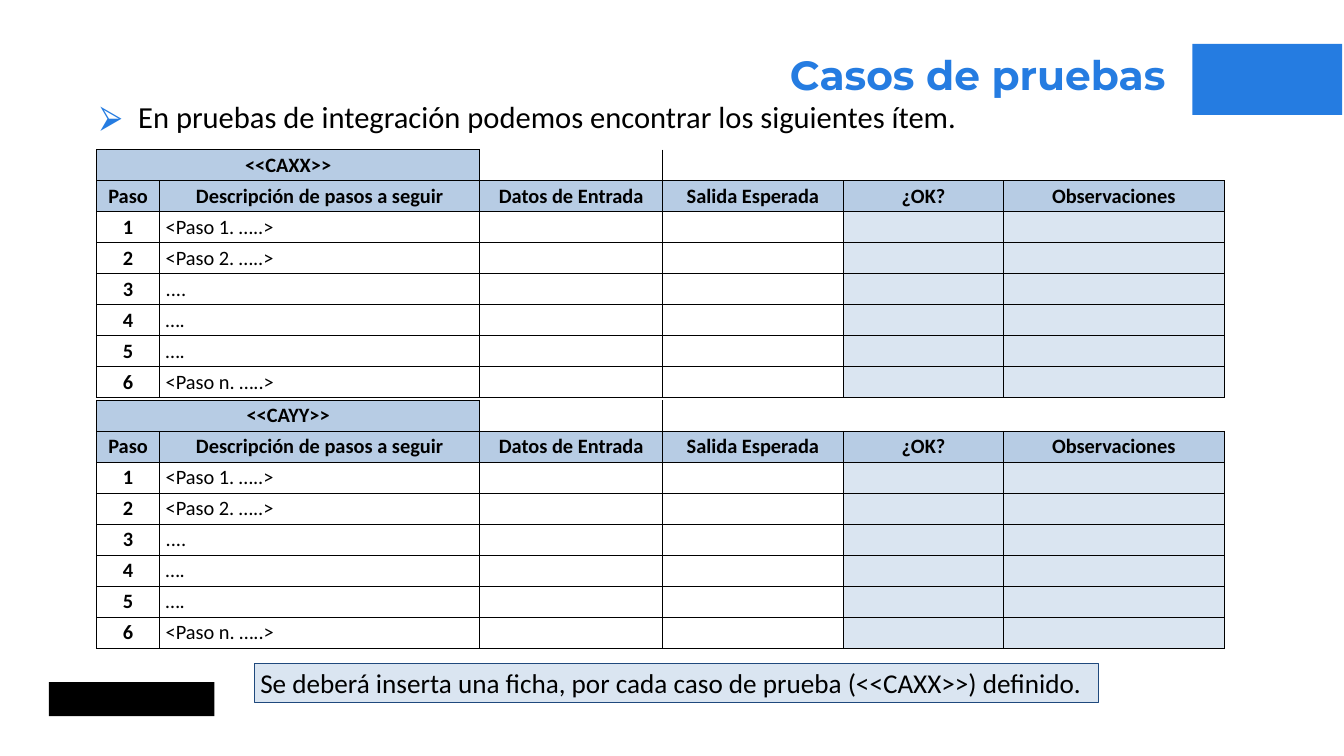
"""Build the slide on integration test cases, with two test sheets."""
from typing import NamedTuple

from lxml.etree import SubElement
from pptx import Presentation
from pptx.dml.color import RGBColor
from pptx.enum.shapes import MSO_SHAPE
from pptx.enum.text import MSO_ANCHOR, MSO_AUTO_SIZE, PP_ALIGN
from pptx.oxml.ns import qn
from pptx.util import Inches, Pt

BLUE = RGBColor(0x25, 0x7C, 0xE1)
BLACK = RGBColor(0, 0, 0)
WHITE = RGBColor(0xFF, 0xFF, 0xFF)
HEADER_BLUE = RGBColor(0xB7, 0xCC, 0xE4)
PALE_BLUE = RGBColor(0xDA, 0xE5, 0xF1)
NAVY = RGBColor(0x1F, 0x49, 0x7D)

NO_STYLE = "{2D5ABB26-0587-4C30-8999-92F81FD0307C}"
HEADINGS = ["Paso", "Descripción de pasos a seguir", "Datos de Entrada",
            "Salida Esperada", "¿OK?", "Observaciones"]
COLUMN_WIDTHS = [1.03, 5.24, 2.99, 2.96, 2.62, 3.61]
STEPS = ["<Paso 1. …..>", "<Paso 2. …..>", "....", "….", "….", "<Paso n. …..>"]
ROW_HEIGHT = 0.5
FIRST_RESULT_COLUMN = 4


class Box(NamedTuple):
    left: float
    top: float
    width: float
    height: float

    def lengths(self) -> list:
        return [Inches(value) for value in self]


class Sheet(NamedTuple):
    code: str
    top: float


SHEETS = [Sheet("<<CAXX>>", 2.45), Sheet("<<CAYY>>", 6.55)]


def write(holder, text: str, size: float, color: RGBColor, font: str = "Calibri",
          bold: bool = False, align: PP_ALIGN = PP_ALIGN.LEFT) -> None:
    holder.text_frame.text = text
    paragraph = holder.text_frame.paragraphs[0]
    paragraph.alignment = align
    paragraph.space_before = Pt(0)
    style = paragraph.runs[0].font
    style.name, style.size, style.bold = font, Pt(size), bold
    style.color.rgb = color


def place(holder, box: Box, margin_x: float = 0.1, margin_y: float = 0.05) -> None:
    holder.left, holder.top, holder.width, holder.height = box.lengths()
    frame = holder.text_frame
    frame.word_wrap = True
    frame.auto_size = MSO_AUTO_SIZE.NONE
    frame.vertical_anchor = MSO_ANCHOR.TOP
    frame.margin_left = frame.margin_right = Inches(margin_x)
    frame.margin_top = frame.margin_bottom = Inches(margin_y)


def add_bullet(paragraph, character: str, color: RGBColor, indent: float) -> None:
    properties = paragraph._p.get_or_add_pPr()
    properties.set("marL", str(Inches(indent)))
    properties.set("indent", str(-Inches(indent)))
    bullet_color = SubElement(properties, qn("a:buClr"))
    SubElement(bullet_color, qn("a:srgbClr"), val=str(color))
    SubElement(properties, qn("a:buChar"), char=character)


def add_rectangle(slide, box: Box, fill: RGBColor):
    rectangle = slide.shapes.add_shape(MSO_SHAPE.RECTANGLE, *box.lengths())
    rectangle.shadow.inherit = False
    rectangle.fill.solid()
    rectangle.fill.fore_color.rgb = fill
    rectangle.line.fill.background()
    return rectangle


def add_borders(cell, sides: str) -> None:
    properties = cell._tc.get_or_add_tcPr()
    for side in sides:
        line = SubElement(properties, qn(f"a:ln{side}"), w=str(Pt(1)))
        fill = SubElement(line, qn("a:solidFill"))
        SubElement(fill, qn("a:srgbClr"), val=str(BLACK))


def fill_cell(cell, fill: RGBColor, text: str = "", bold: bool = True,
              align: PP_ALIGN = PP_ALIGN.CENTER) -> None:
    add_borders(cell, "LRTB")
    cell.fill.solid()
    cell.fill.fore_color.rgb = fill
    if text:
        write(cell, text, 24, BLACK, bold=bold, align=align)


def add_sheet(slide, sheet: Sheet) -> None:
    row_count = len(STEPS) + 2
    box = Box(1.58, sheet.top, sum(COLUMN_WIDTHS), row_count * ROW_HEIGHT)
    table = slide.shapes.add_table(row_count, len(HEADINGS), *box.lengths()).table
    table.first_row = table.horz_banding = False
    table._tbl.tblPr.find(qn("a:tableStyleId")).text = NO_STYLE
    for column, width in zip(table.columns, COLUMN_WIDTHS):
        column.width = Inches(width)
    for row in table.rows:
        row.height = Inches(ROW_HEIGHT)

    table.cell(0, 0).merge(table.cell(0, 1))
    fill_cell(table.cell(0, 0), HEADER_BLUE, sheet.code)
    fill_cell(table.cell(0, 1), HEADER_BLUE)
    for column in range(2, len(HEADINGS)):
        add_borders(table.cell(0, column), "LB" if column == 2 else "B")
    for column, heading in enumerate(HEADINGS):
        fill_cell(table.cell(1, column), HEADER_BLUE, heading)
    for number, step in enumerate(STEPS, start=1):
        row = number + 1
        fill_cell(table.cell(row, 0), WHITE, str(number))
        fill_cell(table.cell(row, 1), WHITE, step, bold=False, align=PP_ALIGN.LEFT)
        for column in range(2, len(HEADINGS)):
            fill_cell(table.cell(row, column),
                      PALE_BLUE if column >= FIRST_RESULT_COLUMN else WHITE)


def main() -> None:
    presentation = Presentation()
    presentation.slide_width = Inches(21.99)
    presentation.slide_height = Inches(12.37)
    slide = presentation.slides.add_slide(presentation.slide_layouts[1])

    add_rectangle(slide, Box(0.8, 11.16, 2.71, 0.56), BLACK)
    add_rectangle(slide, Box(19.51, 0.72, 2.45, 1.16), BLUE)

    heading = slide.shapes.title
    place(heading, Box(11.24, 0.81, 7.83, 0.81), 0, 0)
    write(heading, "Casos de pruebas", 48, BLUE, "Montserrat", True, PP_ALIGN.RIGHT)

    introduction = slide.placeholders[1]
    place(introduction, Box(1.54, 1.56, 14.39, 0.71))
    write(introduction, "En pruebas de integración podemos encontrar los siguientes ítem.",
          36, BLACK)
    add_bullet(introduction.text_frame.paragraphs[0], "⮚", BLUE, 0.62)

    for sheet in SHEETS:
        add_sheet(slide, sheet)

    note_box = Box(4.16, 10.85, 13.81, 0.64)
    note = add_rectangle(slide, note_box, PALE_BLUE)
    note.line.color.rgb = NAVY
    note.line.width = Pt(0.75)
    place(note, note_box)
    write(note, "Se deberá inserta una ficha, por cada caso de prueba (<<CAXX>>) definido.",
          32, BLACK)

    presentation.save("out.pptx")


if __name__ == "__main__":
    main()
